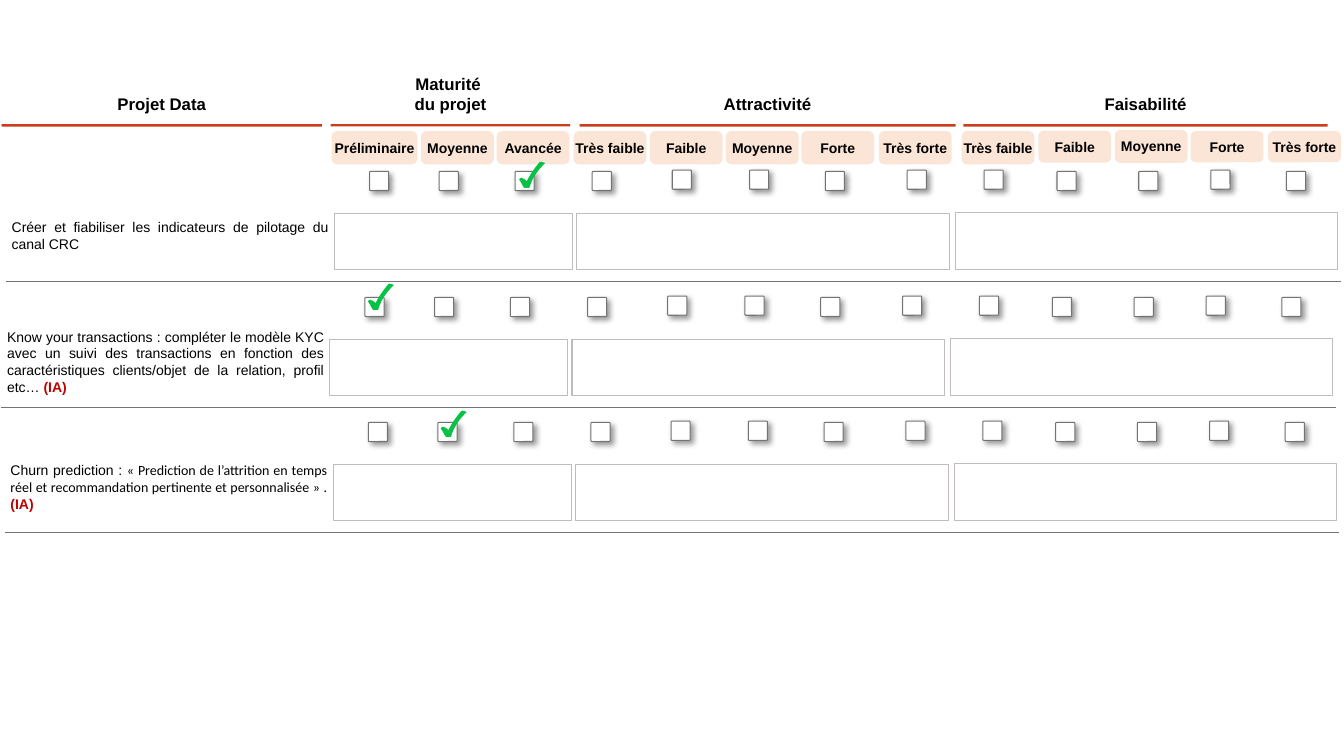
from lxml import etree
from pptx import Presentation
from pptx.dml.color import RGBColor
from pptx.enum.shapes import MSO_CONNECTOR, MSO_SHAPE
from pptx.enum.text import MSO_ANCHOR, PP_ALIGN
from pptx.oxml.ns import qn
from pptx.util import Pt

RECT, ROUNDED = MSO_SHAPE.RECTANGLE, MSO_SHAPE.ROUNDED_RECTANGLE
STRAIGHT = MSO_CONNECTOR.STRAIGHT
MIDDLE, BOTTOM = MSO_ANCHOR.MIDDLE, MSO_ANCHOR.BOTTOM
CENTER, JUSTIFY = PP_ALIGN.CENTER, PP_ALIGN.JUSTIFY

THEME = {
    "white": "FFFFFF", "text": "000000", "accent": "C83E1E", "pill": "FBE5D6",
    "rule": "747371", "frame": "C0BCBB", "tick": "06C245", "tag": "C00000",
    "font": "Arial", "quote_font": "Calibri",
    "title_size": 12, "body_size": 10, "line": 0.75,
}

# Content: column titles (lines, left, top, width)
TITLES = [
    (["Projet Data"], 0, 59.8, 231.1),
    (["Maturité ", "du projet"], 235.4, 44.6, 172.8),
    (["Attractivité"], 412.6, 59.8, 271.4),
    (["Faisabilité"], 686.9, 59.8, 262.8),
]
# Levels: label, pill left, pill top, pill height, checkbox left, checkbox top
LEVELS = [
    ("Préliminaire", 236.9, 93.6, 23.8, 264, 122.4),
    ("Moyenne", 300.8, 93.6, 23.8, 313.7, 122.4),
    ("Avancée", 354.8, 93.6, 23.8, 367.9, 122.4),
    ("Très faible", 409.7, 93.6, 23.8, 423, 122.4),
    ("Faible", 464.2, 93.6, 23.8, 480.2, 121.5),
    ("Moyenne", 518.5, 93.6, 23.8, 535.4, 121.5),
    ("Forte", 572.4, 93.6, 23.8, 589.5, 122.4),
    ("Très forte", 627.8, 93.6, 23.8, 648, 121.5),
    ("Très faible", 686.9, 93.6, 23.8, 702.9, 121.5),
    ("Faible", 741.7, 93.4, 22.8, 755, 122.4),
    ("Moyenne", 796.3, 92.8, 23.5, 813.4, 122.4),
    ("Forte", 850.5, 93.6, 22.3, 864.9, 121.5),
    ("Très forte", 905.8, 93.6, 22.3, 918.9, 122.4),
]
# Projects: shift from the first row, tick corner, spans (text, font, colour, bold)
PROJECTS = [
    ((0, 0), (371.2, 115.9), [
        ("Créer et fiabiliser les indicateurs de pilotage du canal CRC", "font", "text", False)]),
    ((-3.3, 90), (263.2, 203), [
        ("Know your transactions : compléter le modèle KYC avec un suivi des transactions "
         "en fonction des caractéristiques clients/objet de la relation, profil etc… ",
         "font", "text", False),
        ("(IA)", "font", "tag", True)]),
    ((-0.9, 179.3), (315.2, 293.7), [
        ("Churn prediction : ", "font", "text", False),
        ("« Prediction de l’attrition en temps réel et recommandation pertinente et "
         "personnalisée » . ", "quote_font", "text", False),
        ("(IA)", "font", "tag", True)]),
]
# First-row geometry
COMMENT_BOXES = [(239, 152.7, 169.9, 39.6), (411.9, 152.6, 266.4, 39.6),
                 (682.5, 151.9, 272.9, 40.8)]
PROJECT_BOX = (8.4, 141.8, 226.1, 53.3)
RULE_LEFT, RULE_RIGHT, RULE_TOP = 4.3, 957.6, 200.9
TITLE_BOTTOM = 88.6
PILL_WIDTH, WIDE_PILL = 52, 61.2
CHECKBOX = 13.7
# Tick outline: start point, then cubic curves (two handles, end)
TICK_START = (0, 12.3)
TICK_CURVES = [
    ((1.8, 14.4), (2.5, 17.3), (3.6, 18)),
    ((5, 18), (6.6, 18), (6.6, 18)),
    ((9.3, 7.9), (17.6, 0.7), (17.6, 0.7)),
    ((15.8, 0), (14.7, 0), (14.7, 0)),
    ((14.7, 0), (9.3, 5.8), (5, 14.4)),
    ((4.5, 12.3), (1, 11.5), (1, 11.5)),
    ((1, 11.5), (0, 11.5), (0, 12.3)),
]

deck = Presentation()
deck.slide_width, deck.slide_height = Pt(960), Pt(540)
page = deck.slides.add_slide(deck.slide_layouts[6])


def color(name):
    return RGBColor.from_string(THEME[name])


def paint(shape, fill, line=None):
    shape.shadow.inherit = False
    shape.fill.solid()
    shape.fill.fore_color.rgb = color(fill)
    if line:
        shape.line.color.rgb = color(line)
        shape.line.width = Pt(THEME["line"])
    else:
        shape.line.fill.background()


def add_box(kind, area, fill, line=None):
    box = page.shapes.add_shape(kind, *map(Pt, area))
    paint(box, fill, line)
    return box


def add_shadow(box, name, opacity, blur, distance, angle, scale=100, align="tl"):
    effects = box._element.spPr.find(qn("a:effectLst"))
    shadow = etree.SubElement(effects, qn("a:outerShdw"), blurRad=str(Pt(blur)),
                              dist=str(Pt(distance)), dir=str(angle * 60000),
                              sx=str(scale * 1000), sy=str(scale * 1000),
                              algn=align, rotWithShape="0")
    tint = etree.SubElement(shadow, qn("a:srgbClr"), val=THEME[name])
    etree.SubElement(tint, qn("a:alpha"), val=str(opacity * 1000))


def write(box, paragraphs, size, align, anchor, inset=(0, 0), wrap=True):
    frame = box.text_frame
    frame.word_wrap = wrap
    frame.vertical_anchor = anchor
    frame.margin_left = frame.margin_right = Pt(inset[0])
    frame.margin_top = frame.margin_bottom = Pt(inset[1])
    for index, spans in enumerate(paragraphs):
        para = frame.paragraphs[0] if index == 0 else frame.add_paragraph()
        para.alignment = align
        for text, font, tint, bold in spans:
            span = para.add_run()
            span.text = text
            span.font.name = THEME[font]
            span.font.size = Pt(THEME[size])
            span.font.bold = bold
            span.font.color.rgb = color(tint)


def add_tick(left, top):
    outline = page.shapes.build_freeform(Pt(left + TICK_START[0]), Pt(top + TICK_START[1]))
    outline.add_line_segments([(Pt(left + x), Pt(top + y)) for *_, (x, y) in TICK_CURVES])
    tick = outline.convert_to_shape()
    # Bend each straight segment into its cubic curve
    segments = list(tick._element.iter(qn("a:lnTo")))
    for segment, curve in zip(segments, TICK_CURVES):
        bend = etree.Element(qn("a:cubicBezTo"))
        for x, y in curve:
            etree.SubElement(bend, qn("a:pt"), x=str(Pt(x)), y=str(Pt(y)))
        segment.getparent().replace(segment, bend)
    paint(tick, "tick", "tick")


# Column titles, underlined by a hard shadow
for lines, left, top, width in TITLES:
    title = add_box(RECT, (left, top, width, TITLE_BOTTOM - top), "white")
    add_shadow(title, "accent", 100, 0, 2, 90, scale=99, align="ctr")
    write(title, [[(line, "font", "text", True)] for line in lines],
          "title_size", CENTER, BOTTOM, (7.2, 7.2))

# Level pills
for index, (label, left, top, height, _, _) in enumerate(LEVELS):
    width = PILL_WIDTH if index else WIDE_PILL
    pill = add_box(ROUNDED, (left, top, width, height), "pill")
    write(pill, [[(label, "font", "text", True)]], "body_size", CENTER, MIDDLE,
          (0, 7.2), wrap=False)

# Project rows
for (dx, dy), tick_corner, spans in PROJECTS:
    for *_, left, top in LEVELS:
        checkbox = add_box(ROUNDED, (left + dx, top + dy, CHECKBOX, CHECKBOX), "white", "rule")
        checkbox.adjustments[0] = 0.05
        add_shadow(checkbox, "text", 40, 4, 3, 45)

    rule = page.shapes.add_connector(STRAIGHT, Pt(RULE_LEFT + dx), Pt(RULE_TOP + dy),
                                     Pt(RULE_RIGHT + dx), Pt(RULE_TOP + dy))
    rule.line.color.rgb = color("rule")
    rule.line.width = Pt(THEME["line"])
    etree.SubElement(rule._element.spPr, qn("a:effectLst"))

    left, top, width, height = PROJECT_BOX
    project = page.shapes.add_textbox(Pt(left + dx), Pt(top + dy), Pt(width), Pt(height))
    write(project, [spans], "body_size", JUSTIFY, MIDDLE)

    for left, top, width, height in COMMENT_BOXES:
        add_box(RECT, (left + dx, top + dy, width, height), "white", "frame")
    add_tick(*tick_corner)

deck.save("out.pptx")
